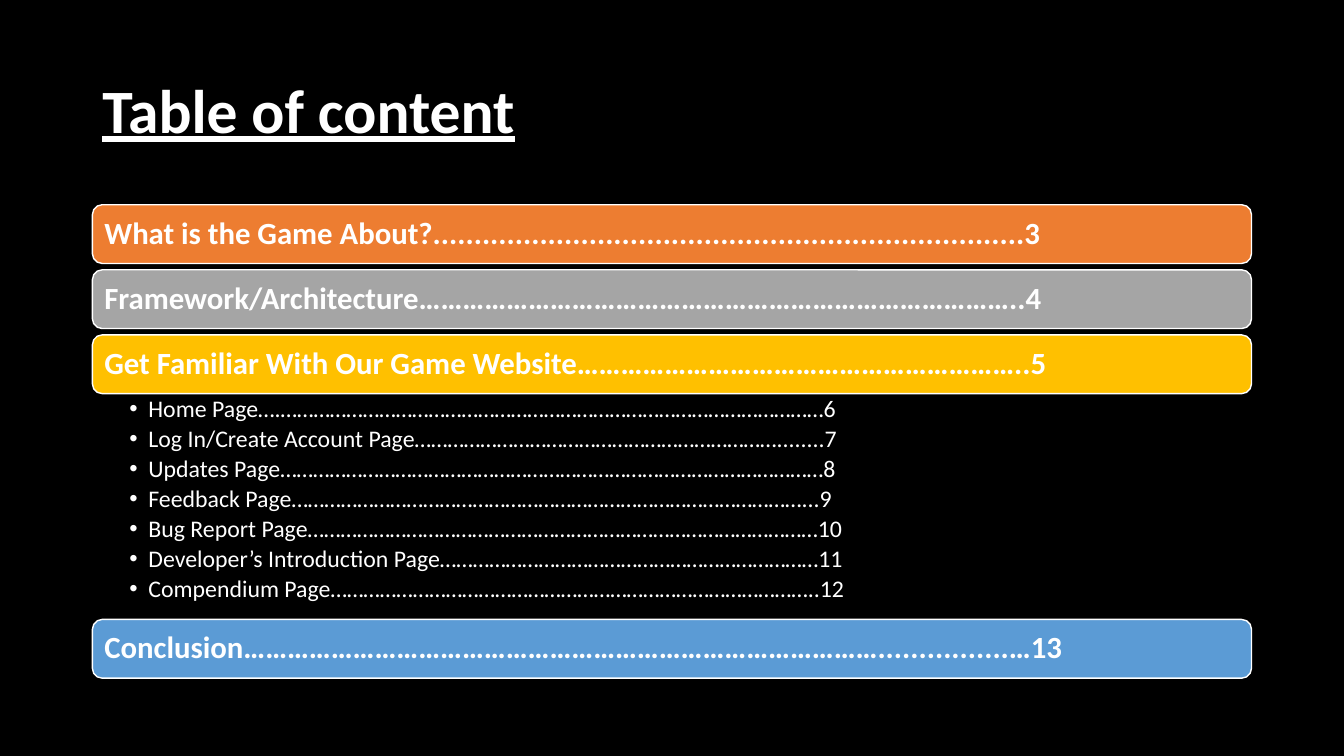
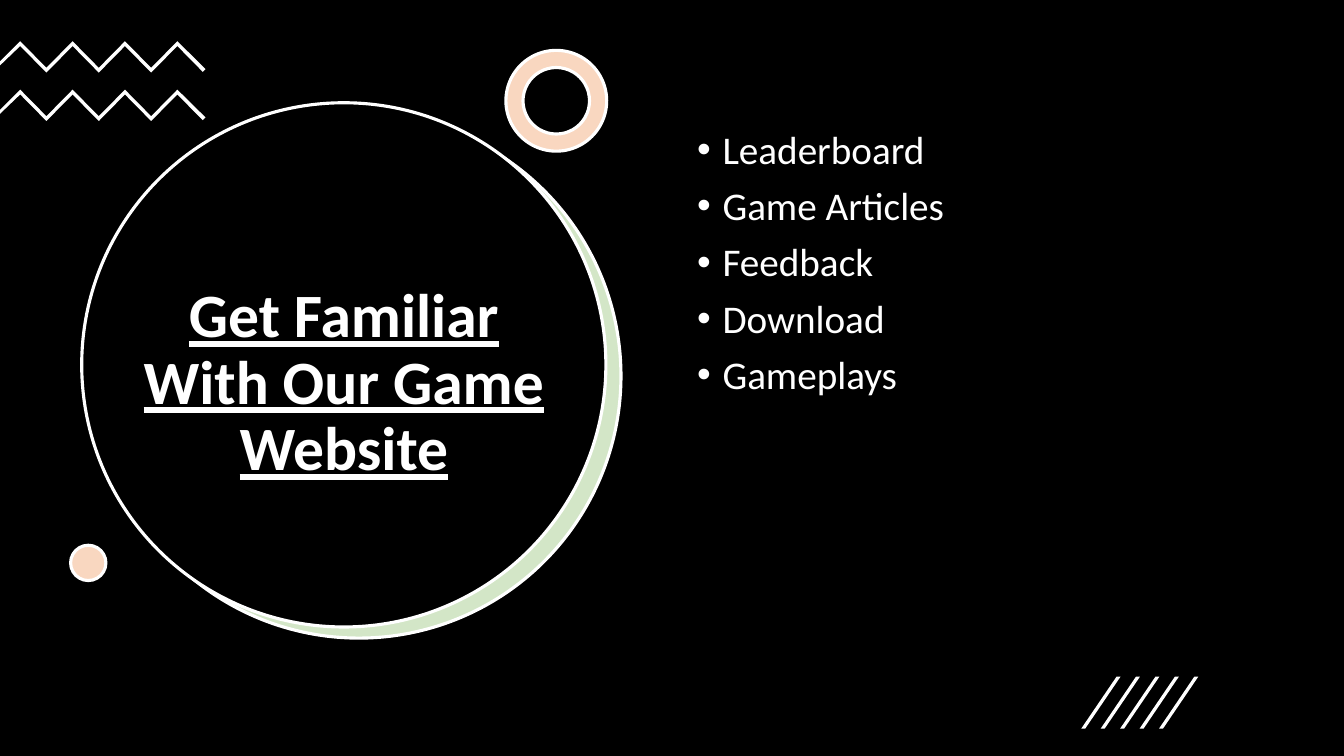
from dataclasses import dataclass

from lxml.etree import SubElement
from pptx import Presentation
from pptx.dml.color import RGBColor
from pptx.enum.shapes import MSO_SHAPE
from pptx.enum.text import MSO_ANCHOR, PP_ALIGN
from pptx.oxml.ns import qn
from pptx.presentation import Presentation as Deck
from pptx.shapes.autoshape import Shape
from pptx.slide import Slide
from pptx.util import Cm, Pt

BLACK = RGBColor(0x00, 0x00, 0x00)
WHITE = RGBColor(0xFF, 0xFF, 0xFF)
ORANGE = RGBColor(0xED, 0x7D, 0x31)
GRAY = RGBColor(0xA5, 0xA5, 0xA5)
GOLD = RGBColor(0xFF, 0xC0, 0x00)
BLUE = RGBColor(0x5B, 0x9B, 0xD5)
GREEN = RGBColor(0x70, 0xAD, 0x47)

FONT = "Calibri"
BLANK_LAYOUT = 6
OUTLINE_PT = 2.25
TINT_PERCENT = 30


@dataclass(frozen=True)
class Box:
    """A rectangle in centimetres."""
    left: float
    top: float
    width: float
    height: float

    def lengths(self) -> tuple[Cm, Cm, Cm, Cm]:
        return Cm(self.left), Cm(self.top), Cm(self.width), Cm(self.height)


@dataclass(frozen=True)
class Chapter:
    entry: str
    color: RGBColor
    pages: tuple[str, ...] = ()


@dataclass(frozen=True)
class Ornament:
    """A round shape in a pale tint of its colour."""
    preset: MSO_SHAPE
    left: float
    top: float
    diameter: float
    color: RGBColor
    ring_width: float | None = None


CHAPTERS = (
    Chapter("What is the Game About?........................................................................3", ORANGE),
    Chapter("Framework/Architecture………………………………………………………………………..4", GRAY),
    Chapter("Get Familiar With Our Game Website……………………………………………………..5", GOLD, (
        "Home Page….………………………………………………………………………………………6",
        "Log In/Create Account Page…………………………………………………………........7",
        "Updates Page………………………………………………………………………………………8",
        "Feedback Page…………………………………………………………………………………...9",
        "Bug Report Page…………………………………………………………………………………10",
        "Developer’s Introduction Page……………………………………………………………11",
        "Compendium Page……………………………………………………………………………..12",
    )),
    Chapter("Conclusion……………………………………………………………………………................…13", BLUE),
)
CONTENT_LEFT, CONTENT_WIDTH = 2.33, 29.21
CHAPTERS_TOP, CHAPTER_HEIGHT, CHAPTER_GAP = 5.16, 1.48, 0.16
PAGES_HEIGHT = 5.69

WEBSITE_PARTS = ("Leaderboard", "Game Articles", "Feedback", "Download", "Gameplays")
CRESCENT = Ornament(MSO_SHAPE.OVAL, 2.44, 2.87, 13.21, GREEN)
RING = Ornament(MSO_SHAPE.DONUT, 12.75, 1.27, 2.54, ORANGE, ring_width=0.17)
DOT = Ornament(MSO_SHAPE.OVAL, 1.78, 13.74, 0.89, ORANGE)
TITLE_DISC = Box(2.06, 2.59, 13.21, 13.21)


def add_bullet(paragraph, indent: float) -> None:
    properties = paragraph._p.get_or_add_pPr()
    properties.set("marL", str(Cm(indent)))
    properties.set("indent", str(-Cm(indent)))
    SubElement(properties, qn("a:buFont"), typeface="Arial")
    SubElement(properties, qn("a:buChar"), char="•")


def write_text(
    shape: Shape,
    *lines: str,
    size: float,
    bold: bool = False,
    underline: bool = False,
    align: PP_ALIGN = PP_ALIGN.LEFT,
    anchor: MSO_ANCHOR = MSO_ANCHOR.TOP,
    insets: tuple[float, float] = (0.25, 0.13),
    bullet_indent: float | None = None,
    before: float = 0,
    after: float = 0,
) -> None:
    """Fill a shape with one paragraph per line; insets are horizontal and vertical."""
    frame = shape.text_frame
    frame.word_wrap = True
    frame.vertical_anchor = anchor
    frame.margin_left = frame.margin_right = Cm(insets[0])
    frame.margin_top = frame.margin_bottom = Cm(insets[1])
    for index, line in enumerate(lines):
        paragraph = frame.add_paragraph() if index else frame.paragraphs[0]
        paragraph.alignment = align
        paragraph.line_spacing = 0.9
        paragraph.space_before = Pt(before)
        paragraph.space_after = Pt(after)
        if bullet_indent is not None:
            add_bullet(paragraph, bullet_indent)
        run = paragraph.add_run()
        run.text = line
        run.font.name = FONT
        run.font.size = Pt(size)
        run.font.bold = bold
        run.font.underline = underline
        run.font.color.rgb = WHITE


def paint(shape: Shape, fill: RGBColor, line_width: float = 0) -> None:
    """Set a flat fill and, for a positive width, a white outline."""
    shape.shadow.inherit = False
    shape.fill.solid()
    shape.fill.fore_color.rgb = fill
    if line_width:
        shape.line.color.rgb = WHITE
        shape.line.width = Pt(line_width)
    else:
        shape.line.fill.background()


def add_preset(
    slide: Slide, preset: MSO_SHAPE, box: Box, fill: RGBColor, line_width: float = 0
) -> Shape:
    shape = slide.shapes.add_shape(preset, *box.lengths())
    paint(shape, fill, line_width)
    return shape


def add_polygon(slide: Slide, points: list[tuple[float, float]]) -> None:
    start, *others = [(Cm(x), Cm(y)) for x, y in points]
    builder = slide.shapes.build_freeform(*start)
    builder.add_line_segments(others, close=True)
    paint(builder.convert_to_shape(), WHITE)


def add_ornament(slide: Slide, ornament: Ornament) -> None:
    """Lay a translucent, outlined shape over a white one."""
    box = Box(ornament.left, ornament.top, ornament.diameter, ornament.diameter)
    backing = add_preset(slide, ornament.preset, box, WHITE)
    tint = add_preset(slide, ornament.preset, box, ornament.color, OUTLINE_PT)
    color = tint._element.spPr.find(qn("a:solidFill"))[0]
    SubElement(color, qn("a:alpha"), val=str(TINT_PERCENT * 1000))
    if ornament.ring_width is not None:
        for layer in (backing, tint):
            layer.adjustments[0] = ornament.ring_width


def add_zigzag(slide: Slide, top: float) -> None:
    """Draw a band that enters from the left edge with four peaks."""
    thickness, depth, step, first_peak = 0.12, 0.67, 0.66, 0.51
    corners = [
        (first_peak + step * index, top + depth * (index % 2)) for index in range(7)
    ]
    upper = [(0, top + 0.51), *corners, (5.18, top + 0.7)]
    lower = [(0, top + 0.61), *((x, y + thickness) for x, y in corners), (5.11, top + 0.77)]
    add_polygon(slide, upper + lower[::-1])


def add_slashes(slide: Slide) -> None:
    left, top, bottom, lean, thickness, step = 27.25, 17.05, 18.36, 0.89, 0.1, 0.49
    for index in range(5):
        x = left + step * index
        add_polygon(slide, [
            (x + thickness, bottom), (x, bottom),
            (x + lean, top), (x + lean + thickness, top),
        ])


def add_black_slide(deck: Deck) -> Slide:
    slide = deck.slides.add_slide(deck.slide_layouts[BLANK_LAYOUT])
    slide.background.fill.solid()
    slide.background.fill.fore_color.rgb = BLACK
    return slide


def add_title(slide: Slide, title: str, box: Box, align: PP_ALIGN = PP_ALIGN.LEFT) -> None:
    write_text(
        slide.shapes.add_textbox(*box.lengths()), title,
        size=44, bold=True, underline=True, align=align, anchor=MSO_ANCHOR.MIDDLE,
    )


def build_contents(deck: Deck) -> None:
    slide = add_black_slide(deck)
    add_title(slide, "Table of content", Box(CONTENT_LEFT, 1.01, CONTENT_WIDTH, 3.68))
    top = CHAPTERS_TOP
    for chapter in CHAPTERS:
        bar = add_preset(
            slide, MSO_SHAPE.ROUNDED_RECTANGLE,
            Box(CONTENT_LEFT, top, CONTENT_WIDTH, CHAPTER_HEIGHT), chapter.color, 1,
        )
        write_text(
            bar, chapter.entry, size=22, bold=True,
            anchor=MSO_ANCHOR.MIDDLE, insets=(0.23, 0.23),
        )
        top += CHAPTER_HEIGHT
        if chapter.pages:
            page_list = slide.shapes.add_textbox(
                *Box(CONTENT_LEFT, top, CONTENT_WIDTH, PAGES_HEIGHT).lengths()
            )
            write_text(
                page_list, *chapter.pages, size=17,
                insets=(0.93, 0.08), bullet_indent=0.48, after=3.1,
            )
            top += PAGES_HEIGHT
        else:
            top += CHAPTER_GAP


def build_website(deck: Deck) -> None:
    slide = add_black_slide(deck)
    add_ornament(slide, CRESCENT)
    add_preset(slide, MSO_SHAPE.OVAL, TITLE_DISC, BLACK, OUTLINE_PT)
    add_title(
        slide, "Get Familiar With Our Game Website",
        Box(3.07, 5.21, 11.2, 8.94), PP_ALIGN.CENTER,
    )
    for top in (1.04, 2.26):
        add_zigzag(slide, top)
    for ornament in (RING, DOT):
        add_ornament(slide, ornament)
    part_list = slide.shapes.add_textbox(*Box(17.32, 3.15, 14.5, 12.09).lengths())
    write_text(part_list, *WEBSITE_PARTS, size=28, bullet_indent=0.64, before=10)
    add_slashes(slide)


def main() -> None:
    deck = Presentation()
    deck.slide_width, deck.slide_height = Cm(33.87), Cm(19.05)
    build_contents(deck)
    build_website(deck)
    deck.save("out.pptx")


if __name__ == "__main__":
    main()
